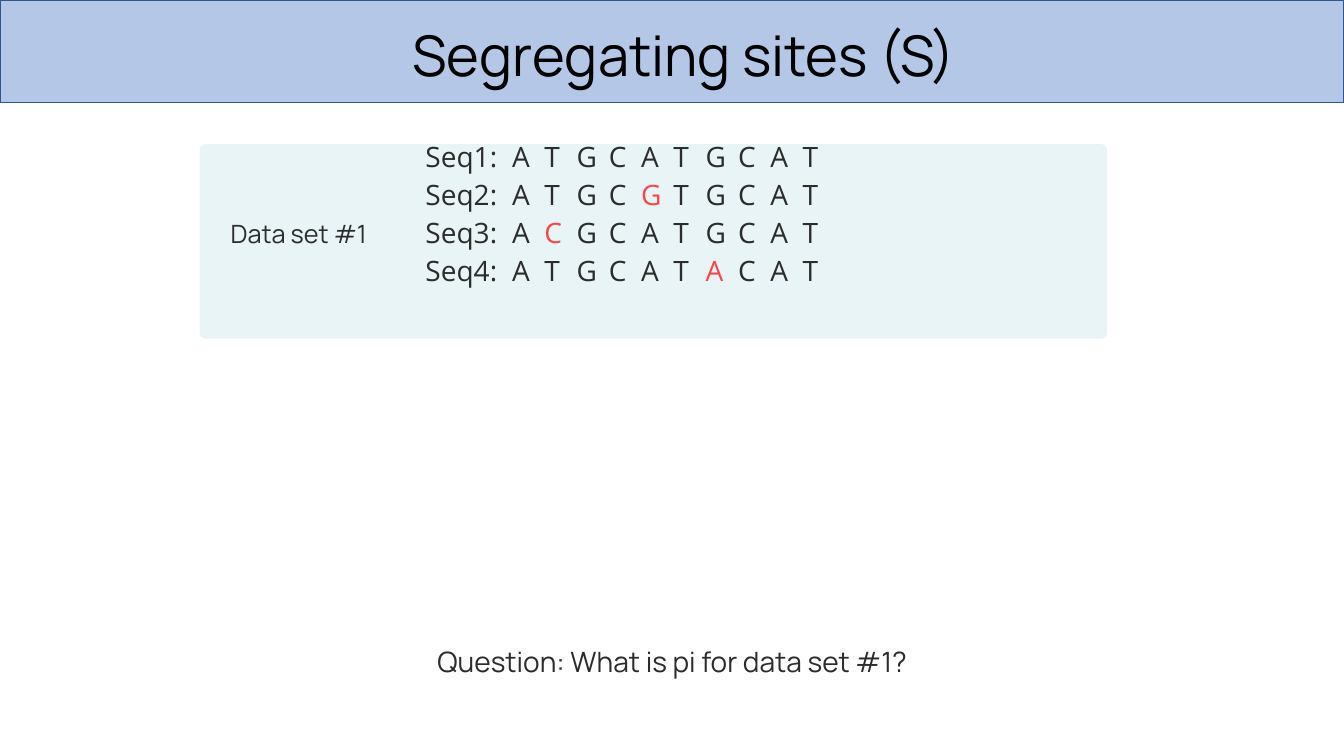
from dataclasses import dataclass

import pptx
import pptx.dml.color
import pptx.enum.shapes
import pptx.enum.text
import pptx.oxml.ns
import pptx.util
from lxml import etree

Inches = pptx.util.Inches
Pt = pptx.util.Pt
Shapes = pptx.enum.shapes.MSO_SHAPE
Align = pptx.enum.text.PP_ALIGN


@dataclass(frozen=True)
class Theme:
    heading_font: str = "Manrope"
    sequence_font: str = "Open Sans"
    title_size: int = 40
    body_size: int = 20
    label_size: int = 18
    black: str = "000000"
    ink: str = "2C2C2C"
    variant: str = "FE4447"
    band: str = "B4C7E7"
    band_line: str = "325491"
    panel: str = "E8F4F5"


THEME = Theme()
SEQUENCES = ["ATGCATGCAT", "ATGCGTGCAT", "ACGCATGCAT", "ATGCATACAT"]
FIRST_SITE = 0.86
SITE_PITCH = 0.32


def rgb(value):
    return pptx.dml.color.RGBColor.from_string(value)


def style_font(font, name, size, color):
    font.name = name
    font.size = Pt(size)
    font.color.rgb = rgb(color)


def add_block(slide, kind, box, fill, line=None):
    shape = slide.shapes.add_shape(kind, *map(Inches, box))
    shape.shadow.inherit = False
    shape.fill.solid()
    shape.fill.fore_color.rgb = rgb(fill)
    if line:
        shape.line.color.rgb = rgb(line)
        shape.line.width = Pt(1)
    else:
        shape.line.fill.background()
    return shape


def add_text_box(slide, box, inset=True):
    frame = slide.shapes.add_textbox(*map(Inches, box)).text_frame
    frame.word_wrap = True
    if not inset:
        frame.margin_left = frame.margin_right = 0
        frame.margin_top = frame.margin_bottom = 0
    return frame


def add_label(slide, box, text, size, align=Align.LEFT, inset=True):
    paragraph = add_text_box(slide, box, inset).paragraphs[0]
    paragraph.text = text
    paragraph.alignment = align
    style_font(paragraph.runs[0].font, THEME.heading_font, size, THEME.ink)
    return paragraph


def set_title(slide, box, text):
    title = slide.shapes.title
    title.left, title.top, title.width, title.height = map(Inches, box)
    frame = title.text_frame
    frame.text = text
    frame.vertical_anchor = pptx.enum.text.MSO_ANCHOR.TOP
    frame.auto_size = pptx.enum.text.MSO_AUTO_SIZE.NONE
    paragraph = frame.paragraphs[0]
    paragraph.alignment = Align.CENTER
    style_font(paragraph.runs[0].font, THEME.heading_font, THEME.title_size, THEME.black)
    return title


def add_site_tabs(paragraph, count):
    """Set one left tab stop for each site of a sequence."""
    qn = pptx.oxml.ns.qn
    properties = paragraph._p.get_or_add_pPr()
    tabs = etree.SubElement(properties, qn("a:tabLst"))
    for site in range(count):
        position = Inches(FIRST_SITE + site * SITE_PITCH)
        etree.SubElement(tabs, qn("a:tab"), pos=str(position), algn="l")


def add_alignment(slide, box, sequences):
    """Write one sequence a line, with sites unlike the first one in red."""
    frame = add_text_box(slide, box, inset=False)
    reference = sequences[0]
    for index, sequence in enumerate(sequences):
        paragraph = frame.paragraphs[0] if index == 0 else frame.add_paragraph()
        add_site_tabs(paragraph, len(sequence))
        paragraph.line_spacing = Pt(21)
        paragraph.space_before = Pt(3 if index else 0)
        paragraph.space_after = Pt(3)
        pieces = [(f"Seq{index + 1}:", THEME.ink)]
        for base, expected in zip(sequence, reference):
            color = THEME.ink if base == expected else THEME.variant
            pieces.append((f"\t{base}", color))
        for text, color in pieces:
            run = paragraph.add_run()
            run.text = text
            style_font(run.font, THEME.sequence_font, THEME.body_size, color)


def main():
    presentation = pptx.Presentation()
    presentation.slide_width = Inches(13.33)
    presentation.slide_height = Inches(7.5)
    slide = presentation.slides.add_slide(presentation.slide_layouts[5])

    title = set_title(slide, (0.12, 0.15, 13.33, 1.45), "Segregating sites (S)")
    band = add_block(slide, Shapes.RECTANGLE, (0, 0, 13.33, 1.02),
                     THEME.band, THEME.band_line)
    title.element.addprevious(band.element)

    panel = add_block(slide, Shapes.ROUNDED_RECTANGLE, (1.98, 1.43, 9, 1.93), THEME.panel)
    panel.adjustments[0] = 0.03

    question = add_label(slide, (1.93, 6.44, 9.48, 0.64),
                         "Question: What is pi for data set #1?",
                         THEME.body_size, Align.CENTER, inset=False)
    question.line_spacing = Pt(21)
    add_label(slide, (2.19, 2.12, 6.73, 0.4), "Data set #1", THEME.label_size)
    add_alignment(slide, (4.22, 1.43, 4.47, 2.33), SEQUENCES)

    presentation.save("out.pptx")


if __name__ == "__main__":
    main()
